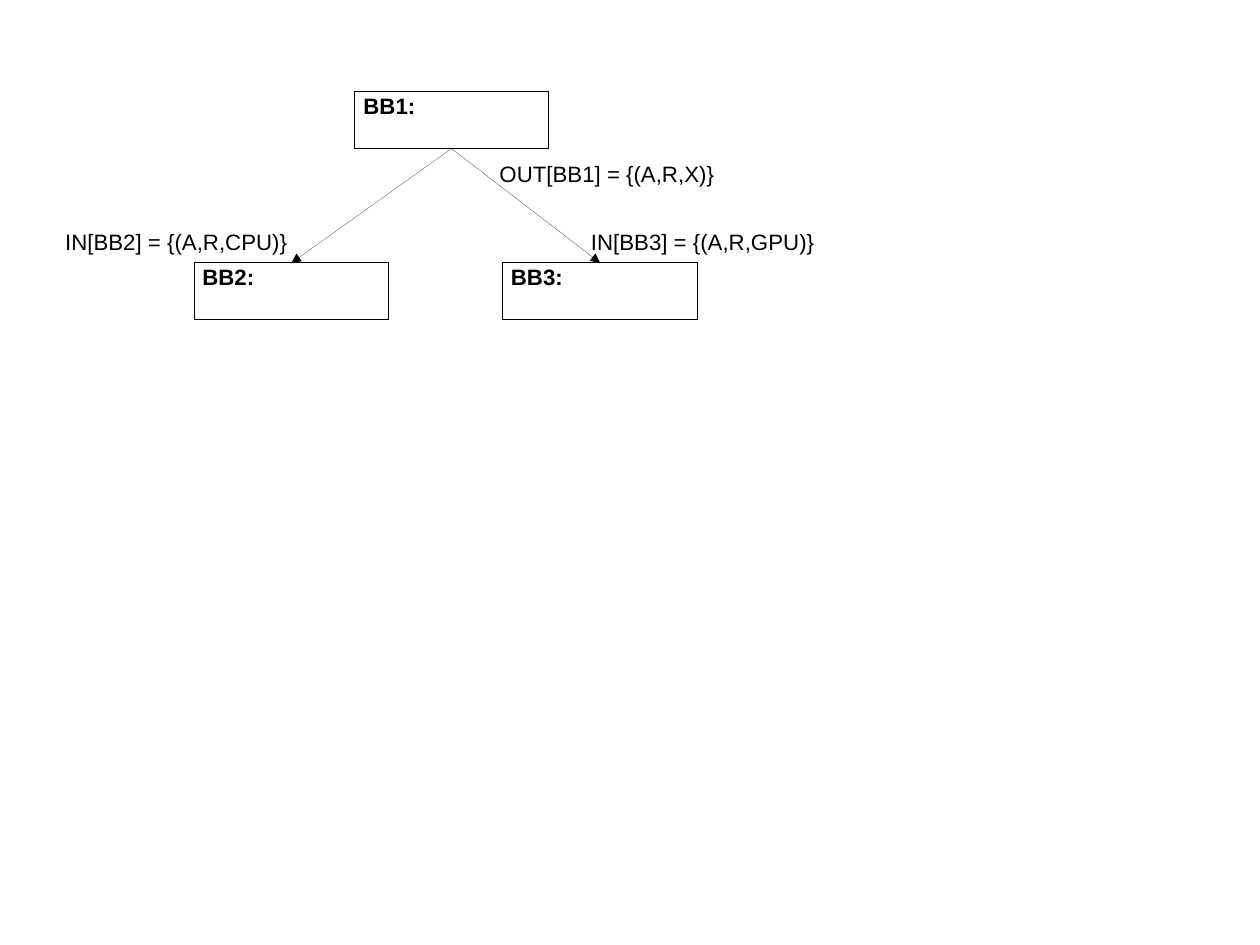
"""Build a control-flow slide with one basic block branching into two."""
from lxml import etree
from pptx import Presentation
from pptx.dml.color import RGBColor
from pptx.enum.shapes import MSO_CONNECTOR, MSO_SHAPE
from pptx.enum.text import MSO_ANCHOR
from pptx.oxml.ns import qn
from pptx.util import Cm, Inches, Pt

RECTANGLE = MSO_SHAPE.RECTANGLE
STRAIGHT = MSO_CONNECTOR.STRAIGHT
TOP = MSO_ANCHOR.TOP
BOTTOM_SITE, TOP_SITE = 2, 0

BLOCKS = {"BB1": (3.1, 0.8), "BB2": (1.7, 2.3), "BB3": (4.4, 2.3)}
EDGES = [("BB1", "BB2"), ("BB1", "BB3")]
LABELS = [
    ("IN[BB3] = {(A,R,GPU)}", 4.7, 2.0, 2.6, False),
    ("IN[BB2] = {(A,R,CPU)}", 0.1, 2.0, 2.5, False),
    ("OUT[BB1] = {(A,R,X)}", 3.9, 1.4, 2.8, False),
    ("BB1:", 2.71, 0.81, 2.2, True),
    ("BB2:", 1.3, 2.3, 2.2, True),
    ("BB3:", 4.0, 2.3, 2.2, True),
]
SLIDE_SIZE_CM = (28, 21)
BLOCK_SIZE = (1.7, 0.5)
LABEL_HEIGHT = 0.4
LABEL_INDENT = 0.47
THEME = {
    "font": "Arial",
    "size": Pt(14),
    "ink": RGBColor(0, 0, 0),
    "paper": RGBColor(255, 255, 255),
    "hairline": "0",
}
FRAME_FORMAT = {
    "margin_left": 0, "margin_top": 0, "margin_right": 0, "margin_bottom": 0,
    "word_wrap": True, "vertical_anchor": TOP,
}


def style_line(sp):
    sp.line.color.rgb = THEME["ink"]
    ln = sp._element.spPr.find(qn("a:ln"))
    ln.set("w", THEME["hairline"])
    return ln


def add_block(s, left, top):
    sp = s.shapes.add_shape(RECTANGLE, *map(Inches, (left, top, *BLOCK_SIZE)))
    sp.shadow.inherit = False
    sp.fill.solid()
    sp.fill.fore_color.rgb = THEME["paper"]
    style_line(sp)
    return sp


def add_arrow(s, source, target):
    arrow = s.shapes.add_connector(STRAIGHT, 0, 0, 0, 0)
    arrow.begin_connect(source, BOTTOM_SITE)
    arrow.end_connect(target, TOP_SITE)
    ln = style_line(arrow)
    etree.SubElement(ln, qn("a:tailEnd"), type="triangle")
    etree.SubElement(arrow._element.spPr, qn("a:effectLst"))


def add_label(s, text, left, top, width, bold):
    box = s.shapes.add_textbox(*map(Inches, (left, top, width, LABEL_HEIGHT)))
    tf = box.text_frame
    for name, value in FRAME_FORMAT.items():
        setattr(tf, name, value)
    p = tf.paragraphs[0]
    pPr = p._p.get_or_add_pPr()
    pPr.set("marL", str(Inches(LABEL_INDENT)))
    pPr.set("indent", "0")
    r = p.add_run()
    r.text = text
    for name, value in {"name": THEME["font"], "size": THEME["size"], "bold": bold}.items():
        setattr(r.font, name, value)
    r.font.color.rgb = THEME["ink"]


def main():
    prs = Presentation()
    prs.slide_width, prs.slide_height = map(Cm, SLIDE_SIZE_CM)
    s = prs.slides.add_slide(prs.slide_layouts[6])
    blocks = {name: add_block(s, *at) for name, at in BLOCKS.items()}
    for source, target in EDGES:
        add_arrow(s, blocks[source], blocks[target])
    for label in LABELS:
        add_label(s, *label)
    prs.save("out.pptx")


if __name__ == "__main__":
    main()
